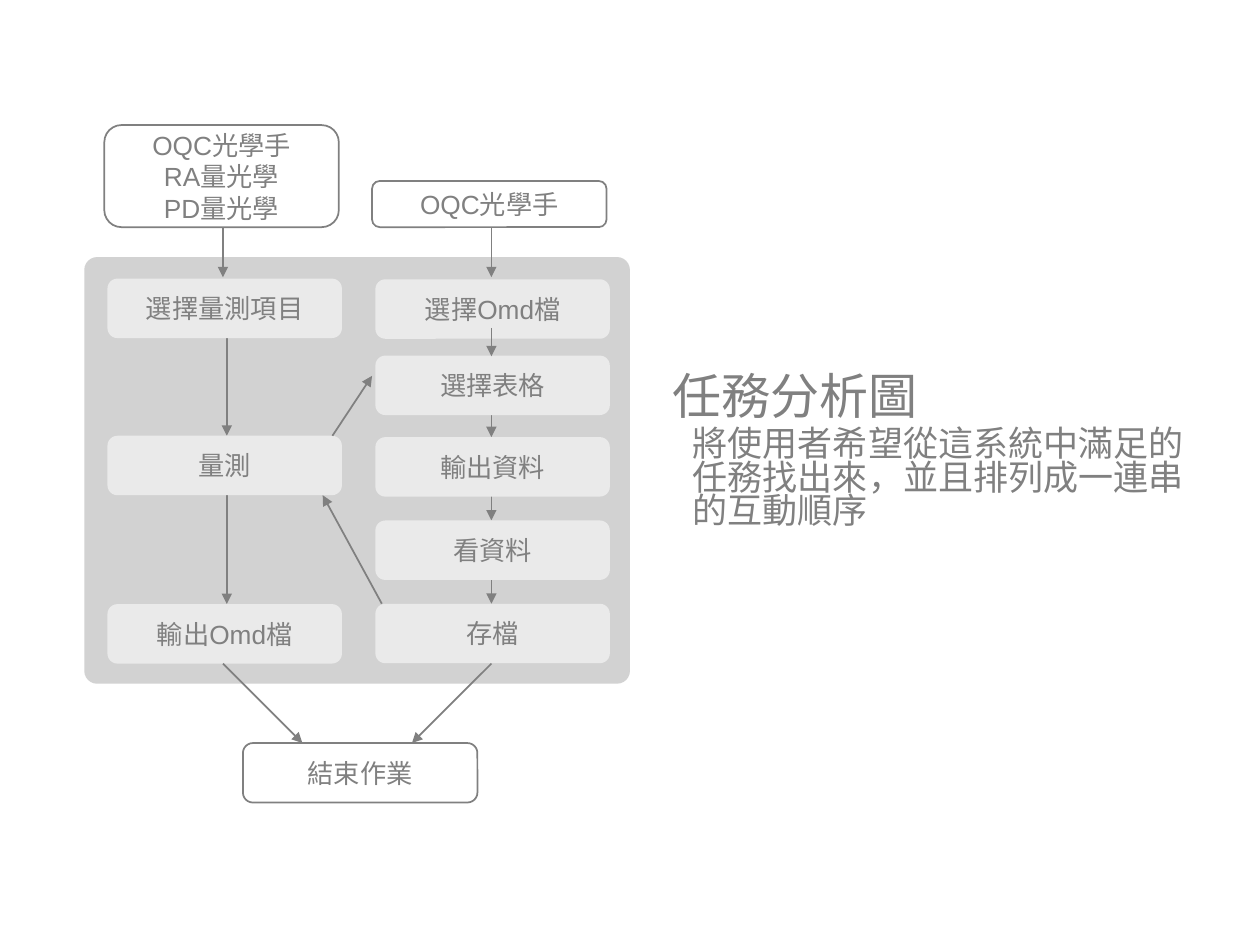
"""Build the task analysis slide: a two-column flow chart beside its title and explanation."""
from itertools import pairwise

from lxml import etree
from pptx import Presentation
from pptx import util as u
from pptx.dml import color
from pptx.enum import shapes, text
from pptx.oxml import ns

THEME = {
    "ink": color.RGBColor(0x80, 0x80, 0x80),
    "panel": color.RGBColor(0xC0, 0xC0, 0xC0),
    "step": color.RGBColor(0xEA, 0xEA, 0xEA),
    "latin": "Arial",
    "cjk": "Noto Sans CJK SC",
    "label_size": u.Pt(15),
    "title_size": u.Pt(28),
    "body_size": u.Pt(20),
}
LABEL_FRAME = {
    "word_wrap": False, "vertical_anchor": text.MSO_ANCHOR.MIDDLE,
    "margin_left": u.Pt(13), "margin_right": u.Pt(13),
    "margin_top": u.Pt(6.5), "margin_bottom": u.Pt(6.5),
}
LABEL_PARAGRAPH = {"alignment": text.PP_ALIGN.CENTER}
BOX_WIDTH, BOX_HEIGHT = 134, 34


def write(shape, words, size, font, frame_format, paragraph_format):
    frame = shape.text_frame
    frame.text = words
    paragraph = frame.paragraphs[0]
    for target, values in ((frame, frame_format), (paragraph, paragraph_format)):
        for attribute, value in values.items():
            setattr(target, attribute, value)
    for run in paragraph.runs:
        for attribute, value in {"name": font, "size": size}.items():
            setattr(run.font, attribute, value)
        run.font.color.rgb = THEME["ink"]
        etree.SubElement(run.font._element, ns.qn("a:ea"), typeface=THEME["cjk"])


def draw_arrows(slide, arrows):
    for start_x, start_y, end_x, end_y, width in arrows:
        arrow = slide.shapes.add_connector(
            shapes.MSO_CONNECTOR.STRAIGHT,
            *(u.Pt(value) for value in (start_x, start_y, end_x, end_y)))
        arrow.line.color.rgb = THEME["ink"]
        arrow.line.width = u.Pt(width)
        etree.SubElement(arrow.line._get_or_add_ln(), ns.qn("a:tailEnd"), type="triangle")
        etree.SubElement(arrow._element.spPr, ns.qn("a:effectLst"))


deck = Presentation()
deck.slide_width, deck.slide_height = u.Pt(720), u.Pt(540)
slide = deck.slides.add_slide(deck.slide_layouts[6])

panel = slide.shapes.add_shape(
    shapes.MSO_SHAPE.ROUNDED_RECTANGLE, u.Pt(48.2), u.Pt(146.9), u.Pt(311.8), u.Pt(243.8))
panel.adjustments[0] = 0.03
panel.shadow.inherit = False
panel.fill.solid()
panel.fill.fore_color.rgb = THEME["panel"]
panel.line.fill.background()
panel_color = panel._element.spPr.find(".//" + ns.qn("a:srgbClr"))
etree.SubElement(panel_color, ns.qn("a:alpha"), val="70000")

measuring = [("選擇量測項目", 159.2), ("量測", 249), ("輸出Omd檔", 345.2)]
reporting = [("選擇Omd檔", 159.6), ("選擇表格", 203.2), ("輸出資料", 249.8),
             ("看資料", 297.4), ("存檔", 345)]

links = [(x, top + BOX_HEIGHT - 3, x, next_top, 1)
         for x, column in ((129.6, measuring), (280.8, reporting[1:]))
         for (_, top), (_, next_top) in pairwise(column)]
draw_arrows(slide, links)

boxes = [(words, left, top, BOX_HEIGHT, THEME["step"])
         for left, column in ((61.4, measuring), (214.5, reporting))
         for words, top in column]
boxes += [
    ("OQC光學手\vRA量光學\vPD量光學", 59.6, 71.5, 58.3, None),
    ("OQC光學手", 212.6, 103.4, 26.4, None),
    ("結束作業", 138.8, 424.6, BOX_HEIGHT, None),
]
for words, left, top, height, tint in boxes:
    box = slide.shapes.add_shape(
        shapes.MSO_SHAPE.ROUNDED_RECTANGLE,
        u.Pt(left), u.Pt(top), u.Pt(BOX_WIDTH), u.Pt(height))
    box.adjustments[0] = 0.167
    box.shadow.inherit = False
    if tint:
        box.fill.solid()
        box.fill.fore_color.rgb = tint
        box.line.fill.background()
    else:
        box.fill.background()
        box.line.color.rgb = THEME["ink"]
        box.line.width = u.Pt(1)
    write(box, words, THEME["label_size"], THEME["latin"], LABEL_FRAME, LABEL_PARAGRAPH)

draw_arrows(slide, [
    (127.4, 129.8, 127.4, 158.4, 0.75),
    (280.8, 129.8, 280.8, 158.4, 1),
    (280.8, 187.4, 280.8, 203.6, 1),
    (190, 249, 212.6, 214.8, 1),
    (218.2, 345, 184.4, 283, 1),
    (127.4, 379.2, 172.8, 424.6, 1),
    (280.8, 379.2, 235.4, 424.6, 1),
])

title = slide.shapes.add_textbox(u.Pt(377.2), u.Pt(203.8), u.Pt(221), u.Pt(43.2))
write(title, "任務分析圖", THEME["title_size"], THEME["cjk"],
      {"word_wrap": True, "vertical_anchor": text.MSO_ANCHOR.MIDDLE}, {})

explanation = slide.shapes.add_textbox(u.Pt(388.8), u.Pt(241.9), u.Pt(306), u.Pt(79.2))
write(explanation, "將使用者希望從這系統中滿足的任務找出來，並且排列成一連串的互動順序",
      THEME["body_size"], THEME["cjk"],
      {"word_wrap": True}, {"line_spacing": 0.8, "space_before": u.Pt(5)})

deck.save("out.pptx")
